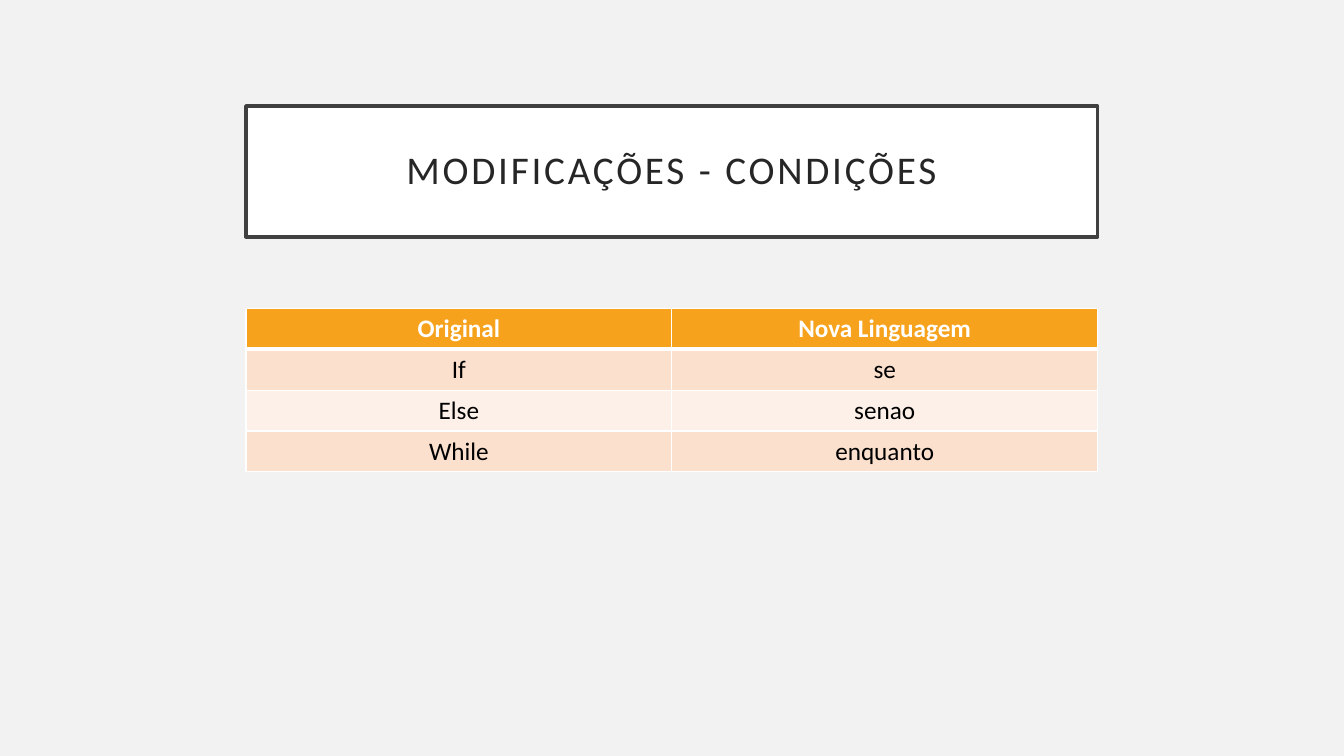
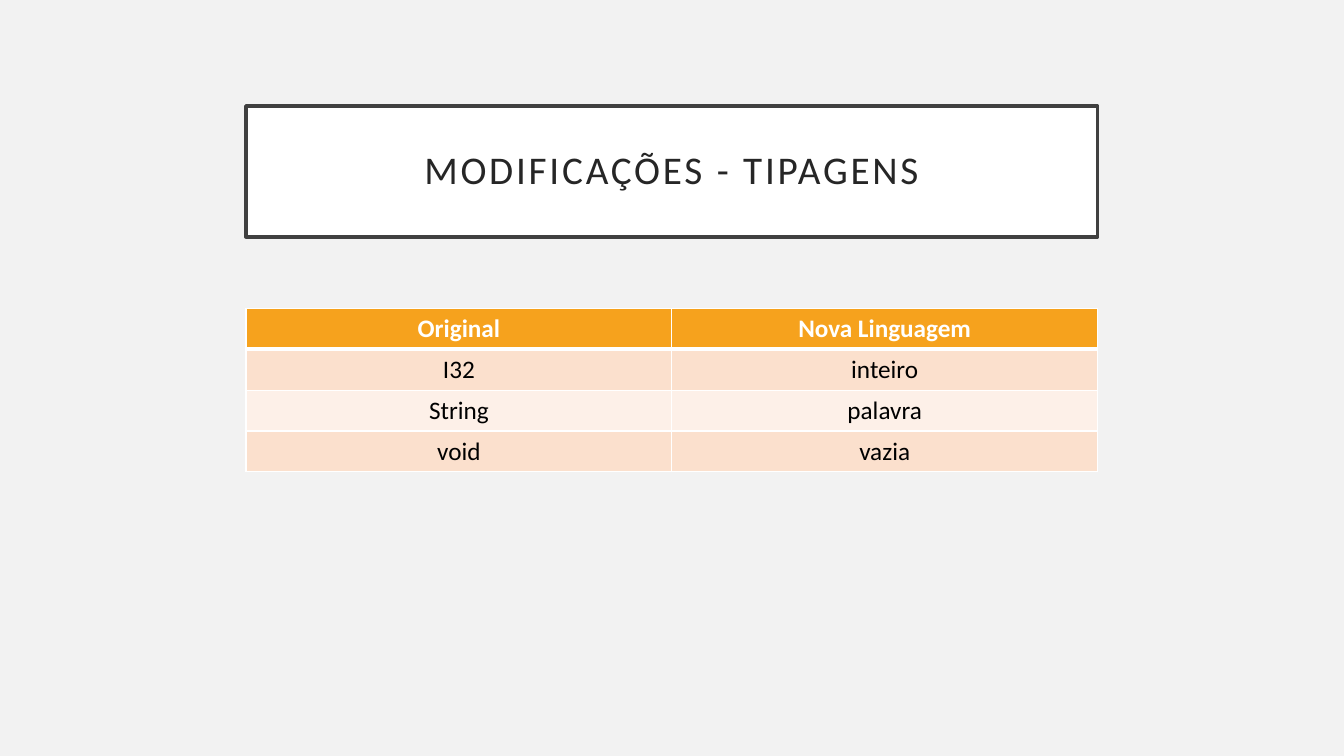
import pptx
import pptx.dml.color
import pptx.enum.shapes
import pptx.enum.text
import pptx.oxml.ns
import pptx.util
from lxml import etree

Cm = pptx.util.Cm
Pt = pptx.util.Pt
CENTER = pptx.enum.text.PP_ALIGN.CENTER
MIDDLE = pptx.enum.text.MSO_ANCHOR.MIDDLE

BACKGROUND = "F2F2F2"
WHITE = "FFFFFF"
FRAME = "404040"
TITLE_TEXT = "262626"
CELL_TEXT = "000000"
HEADER_FILL = "F6A21D"
BAND_FILLS = ("FBE0CD", "FDF0E8")
FONT = "Calibri"

LEFT, WIDTH = 6.2, 21.46
TITLE_TOP, TITLE_HEIGHT = 2.67, 3.3
TABLE_TOP, ROW_HEIGHT = 7.77, 1.03


def color(value):
    """Turn a hex string into a colour."""
    return pptx.dml.color.RGBColor.from_string(value)


def add_border(cell, side, value, points):
    """Draw one edge of a table cell; side is L, R, T or B."""
    qn = pptx.oxml.ns.qn
    ln = etree.SubElement(cell._tc.get_or_add_tcPr(), qn("a:ln" + side),
                          w=str(Pt(points)))
    fill = etree.SubElement(ln, qn("a:solidFill"))
    etree.SubElement(fill, qn("a:srgbClr"), val=value)


class Deck:
    """Holds the shared style and the current slide."""

    def __init__(self):
        """Start an empty widescreen presentation."""
        self.prs = pptx.Presentation()
        self.prs.slide_width = Cm(33.87)
        self.prs.slide_height = Cm(19.05)
        self.s = None

    def slide(self):
        """Add a blank slide with the shared background."""
        self.s = self.prs.slides.add_slide(self.prs.slide_layouts[6])
        fill = self.s.background.fill
        fill.solid()
        fill.fore_color.rgb = color(BACKGROUND)

    def run(self, tf, text, size, value, bold=False):
        """Write a centred run in the first paragraph and return both."""
        p = tf.paragraphs[0]
        p.alignment = CENTER
        r = p.add_run()
        r.text = text
        r.font.name = FONT
        r.font.size = Pt(size)
        r.font.bold = bold
        r.font.color.rgb = color(value)
        return p, r

    def title(self, text):
        """Add the framed title with spaced letters."""
        sp = self.s.shapes.add_shape(
            pptx.enum.shapes.MSO_SHAPE.RECTANGLE,
            Cm(LEFT), Cm(TITLE_TOP), Cm(WIDTH), Cm(TITLE_HEIGHT))
        sp.shadow.inherit = False
        sp.fill.solid()
        sp.fill.fore_color.rgb = color(WHITE)
        sp.line.color.rgb = color(FRAME)
        sp.line.width = Pt(2.5)
        tf = sp.text_frame
        tf.word_wrap = True
        tf.vertical_anchor = MIDDLE
        tf.margin_left = tf.margin_right = Cm(0.5)
        tf.margin_top = tf.margin_bottom = Cm(0.5)
        p, r = self.run(tf, text, 28, TITLE_TEXT)
        p.line_spacing = 0.9
        r.font._element.set("spc", "200")

    def table(self, rows):
        """Add a table with a header row and banded rows below it."""
        columns = len(rows[0])
        table = self.s.shapes.add_table(
            len(rows), columns, Cm(LEFT), Cm(TABLE_TOP),
            Cm(WIDTH), Cm(ROW_HEIGHT * len(rows))).table
        for column in table.columns:
            column.width = Cm(WIDTH / columns)
        for i, row in enumerate(rows):
            table.rows[i].height = Cm(ROW_HEIGHT)
            for j, text in enumerate(row):
                self.cell(table.cell(i, j), text, i)

    def cell(self, cell, text, row):
        """Style and fill one table cell according to its row."""
        header = row == 0
        top = 3 if row == 1 else 1
        bottom = 3 if header else 1
        for side, points in zip("LRTB", (1, 1, top, bottom)):
            add_border(cell, side, WHITE, points)
        cell.fill.solid()
        cell.fill.fore_color.rgb = color(
            HEADER_FILL if header else BAND_FILLS[(row - 1) % 2])
        cell.vertical_anchor = MIDDLE
        self.run(cell.text_frame, text, 18,
                 WHITE if header else CELL_TEXT, header)


HEADER = ("Original", "Nova Linguagem")
SLIDES = {
    "MODIFICAÇÕES - CONDIÇÕES": [
        ("If", "se"), ("Else", "senao"), ("While", "enquanto")],
    "MODIFICAÇÕES - TIPAGENS": [
        ("I32", "inteiro"), ("String", "palavra"), ("void", "vazia")],
}

deck = Deck()
for heading, pairs in SLIDES.items():
    deck.slide()
    deck.title(heading)
    deck.table([HEADER] + pairs)
deck.prs.save("out.pptx")
